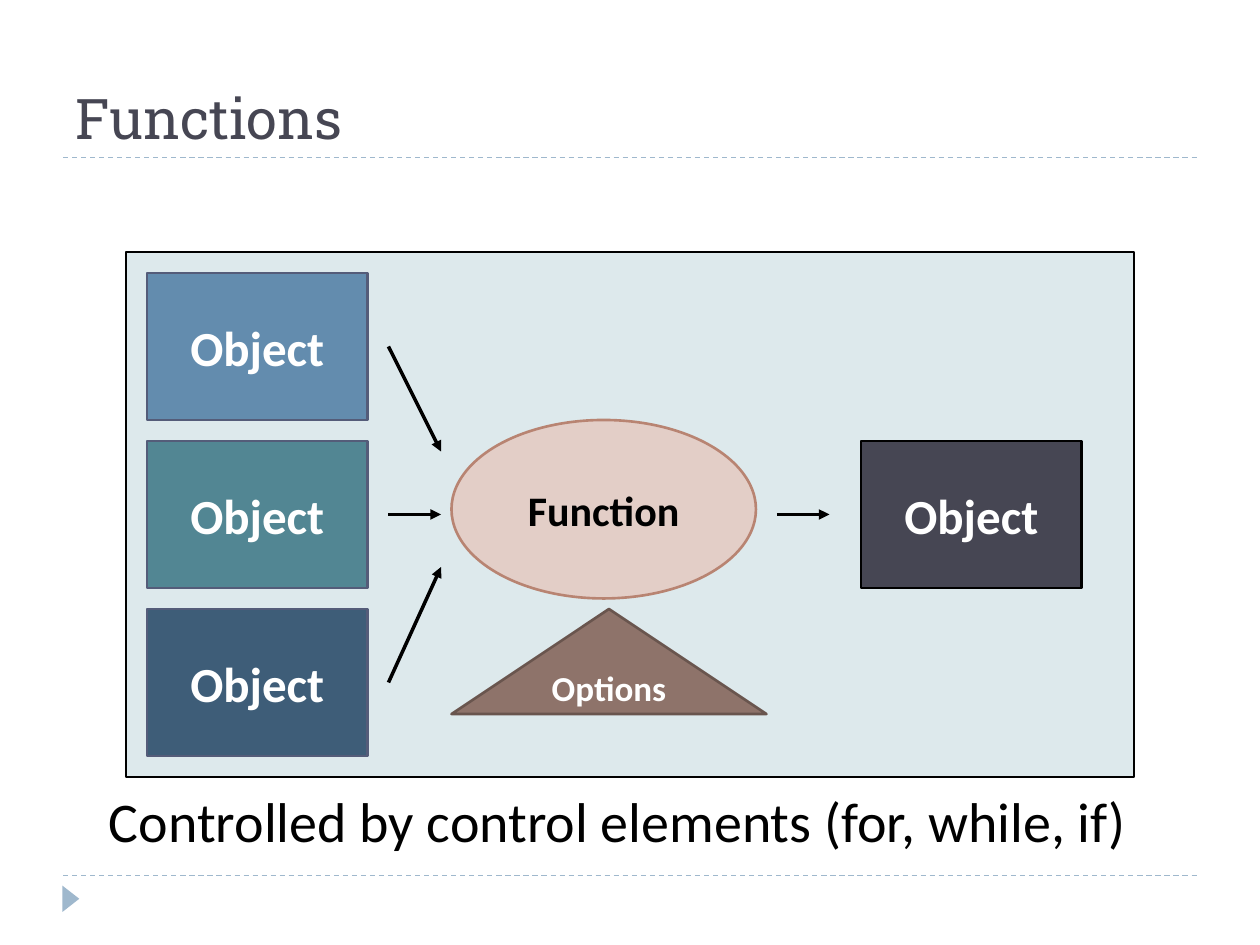
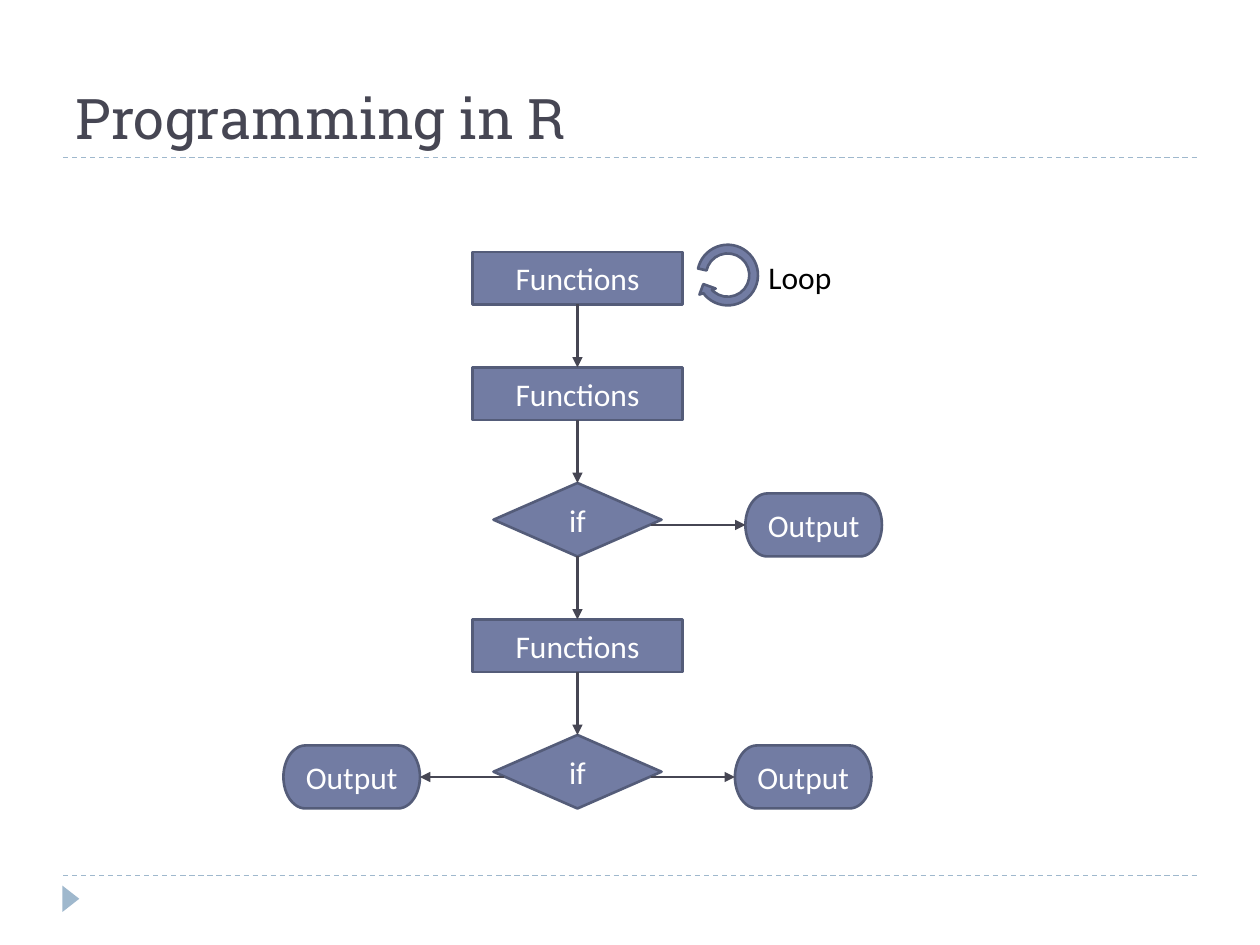
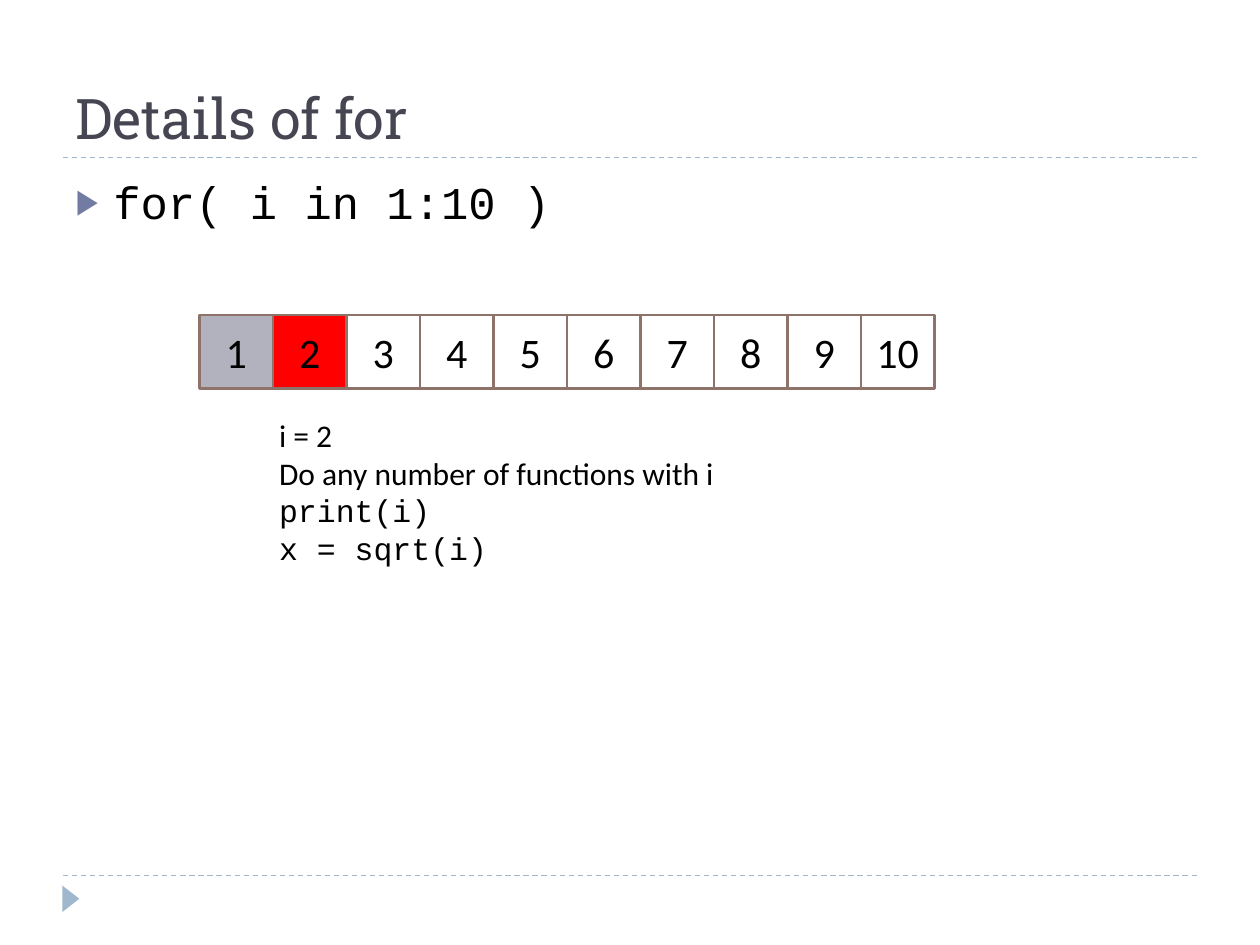
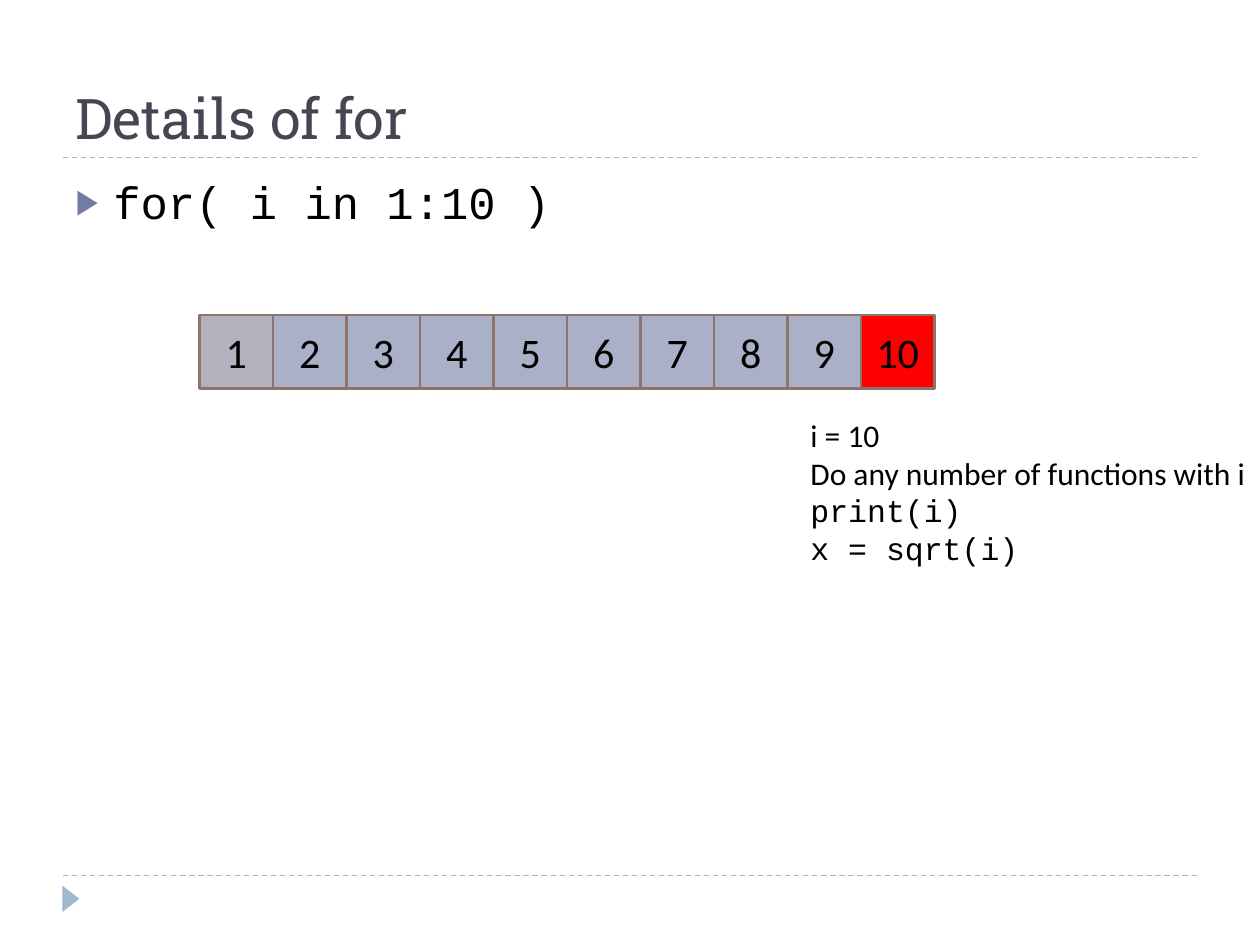
import pptx
import pptx.util
import pptx.dml.color
import pptx.enum.dml
import pptx.enum.shapes
import pptx.enum.text
import pptx.oxml
import pptx.oxml.ns

KIND = pptx.enum.shapes.MSO_SHAPE
ALIGN = pptx.enum.text.PP_ALIGN
ANCHOR = pptx.enum.text.MSO_ANCHOR
FIT = pptx.enum.text.MSO_AUTO_SIZE

SCALE = 7620
SIZE = (1200, 900)
BODY, HEAD, CODE = "Calibri", "Roboto Slab", "Courier New"
BLACK, WHITE, DARK, PALE = "000000", "FFFFFF", "464653", "9FB8CD"
BLUE, EDGE, BROWN, RED = "727CA3", "545C79", "8E736A", "FF0000"
GREY, DONE = "B2B2BE", "AAB0C8"

TITLE = (60, 20, 1080, 130)
RULES = [834, 150]
MARK = (55, 848, 25, 16)

CAPTION = "Controlled by control elements (for, while, if)"
PANEL = (120, 240, 960, 500)
INPUTS = ["638CAE", "528693", "3E5D78"]
BOX = (210, 140)
ARROWS = [
    ((370, 330), (420, 430)),
    ((370, 490), (420, 490)),
    ((370, 650), (420, 540)),
    ((740, 490), (790, 490)),
]

MID = 550
STEPS = [("Functions", 240), ("Functions", 350), ("if", 460), ("Functions", 590), ("if", 700)]
FORMS = {
    "Functions": (KIND.FLOWCHART_PROCESS, 200, 50),
    "if": (KIND.FLOWCHART_DECISION, 160, 70),
}
EXITS = [(710, 470, 620, 1), (700, 710, 620, 1), (270, 710, 480, 3)]
EXIT = (130, 60)
LOOP = (660, 229, 66, 66)
TURN = [0.125, 11.423, 204.577, 19.656, 0.125]

HEADER = "for( i in 1:10 )"
COUNT = 10
CELL = 70
ROUNDS = [(2, WHITE, 254), (10, DONE, 760)]


def px(*vals):
    return [pptx.util.Emu(val * SCALE) for val in vals]


def rgb(code):
    return pptx.dml.color.RGBColor.from_string(code)


def node(tag, **attrs):
    item = pptx.oxml.parse_xml(f"<a:{tag} {pptx.oxml.ns.nsdecls('a')}/>")
    for key, val in attrs.items():
        item.set(key, val)
    return item


def text(shape, lines, size=18, color=BLACK, font=BODY, bold=False,
         align=ALIGN.LEFT, anchor=ANCHOR.TOP, wrap=True, fit=FIT.NONE):
    frame = shape.text_frame
    frame.word_wrap = wrap
    frame.auto_size = fit
    frame.vertical_anchor = anchor
    for i, line in enumerate(lines):
        words, face = line if isinstance(line, tuple) else (line, font)
        para = frame.add_paragraph() if i else frame.paragraphs[0]
        para.alignment = align
        run = para.add_run()
        run.text = words
        run.font.name = face
        run.font.size = pptx.util.Pt(size)
        run.font.bold = bold
        run.font.color.rgb = rgb(color)


def block(slide, kind, at, fill, edge=None, words=None, **style):
    shape = slide.shapes.add_shape(kind, *px(*at))
    shape.shadow.inherit = False
    shape.fill.solid()
    shape.fill.fore_color.rgb = rgb(fill)
    if edge:
        shape.line.color.rgb = rgb(edge)
        shape.line.width = pptx.util.Pt(1.5)
    else:
        shape.line.fill.background()
    if words:
        text(shape, [words], align=ALIGN.CENTER, anchor=ANCHOR.MIDDLE, **style)
    return shape


def wire(slide, start, end, color, width, dash=False):
    kind = pptx.enum.shapes.MSO_CONNECTOR.STRAIGHT
    line = slide.shapes.add_connector(kind, *px(*start, *end))
    line.line.color.rgb = rgb(color)
    line.line.width = pptx.util.Pt(width)
    if dash:
        line.line.dash_style = pptx.enum.dml.MSO_LINE.DASH
    else:
        line.element.xpath(".//a:ln")[0].append(node("tailEnd", type="triangle"))
    line.element.spPr.append(node("effectLst"))
    return line


def label(slide, at, lines, **style):
    shape = slide.shapes.add_textbox(*px(*at))
    text(shape, lines, wrap=False, fit=FIT.SHAPE_TO_FIT_TEXT, **style)


def place(shape, at):
    shape.left, shape.top, shape.width, shape.height = px(*at)


def page(prs, title, layout=5):
    slide = prs.slides.add_slide(prs.slide_layouts[layout])
    place(slide.shapes.title, TITLE)
    text(slide.shapes.title, [title], size=32, color=DARK, font=HEAD, anchor=ANCHOR.BOTTOM)
    return slide


def share(prs, slide):
    parts = [wire(slide, (60, y), (1140, y), PALE, 0.75, dash=True) for y in RULES]
    mark = block(slide, KIND.ISOSCELES_TRIANGLE, MARK, PALE)
    mark.rotation = 90
    for i, part in enumerate(parts + [mark]):
        part.element.xpath(".//p:cNvPr")[0].set("id", str(20 + i))
        prs.slide_master.shapes.element.append(part.element)


def model(slide):
    label(slide, (92, 743, 1018, 77), [CAPTION], size=32)
    block(slide, KIND.RECTANGLE, PANEL, "DDE9EC", BLACK)
    style = dict(words="Object", size=28, color=WHITE, bold=True)
    for i, fill in enumerate(INPUTS):
        block(slide, KIND.RECTANGLE, (140, 260 + 160 * i, *BOX), fill, EDGE, **style)
    block(slide, KIND.RECTANGLE, (820, 420, *BOX), DARK, BLACK, **style)
    block(slide, KIND.OVAL, (430, 400, 290, 170), "E3CEC7", "B88472",
          "Function", size=24, bold=True)
    block(slide, KIND.ISOSCELES_TRIANGLE, (430, 580, 300, 100), BROWN, "69554E",
          "Options", size=20, color=WHITE, bold=True)
    for start, end in ARROWS:
        wire(slide, start, end, BLACK, 2)


def flow(slide):
    last = None
    for words, y in STEPS:
        kind, w, h = FORMS[words]
        step = block(slide, kind, (MID - w // 2, y, w, h), BLUE, EDGE, words, color=WHITE)
        if last:
            line = wire(slide, (MID, y - 60), (MID, y), DARK, 1.5)
            line.begin_connect(last, 2)
            line.end_connect(step, 0)
        last = step
    for x, y, start, side in EXITS:
        out = block(slide, KIND.FLOWCHART_TERMINATOR, (x, y, *EXIT), BLUE, EDGE,
                    "Output", color=WHITE)
        mid = y + EXIT[1] // 2
        line = wire(slide, (start, mid), (x, mid), DARK, 1.5)
        line.end_connect(out, side)
    loop = block(slide, KIND.CIRCULAR_ARROW, LOOP, BLUE, EDGE)
    loop.rotation = 159.7
    for i, val in enumerate(TURN):
        loop.adjustments[i] = val
    label(slide, (720, 240, 88, 48), ["Loop"])


def count(slide, now, rest, left):
    body = slide.placeholders[1]
    place(body, (60, 160, 1080, 648))
    text(body, [HEADER], size=26, font=CODE)
    para = body.text_frame.paragraphs[0]
    para.space_before = pptx.util.Pt(6)
    props = para._p.get_or_add_pPr()
    props.set("marL", str(36 * SCALE))
    props.set("indent", str(-36 * SCALE))
    tint = node("buClr")
    tint.append(node("srgbClr", val=BLUE))
    props.extend([tint, node("buSzPct", val="76000"), node("buChar", char="▶")])
    for i in range(1, COUNT + 1):
        fill = RED if i == now else GREY if i == 1 else rest
        at = (190 + CELL * (i - 1), 300, CELL, CELL)
        block(slide, KIND.RECTANGLE, at, fill, BROWN, str(i), size=24)
    label(slide, (left, 390, 445, 157), [
        f"i = {now}",
        "Do any number of functions with i",
        ("print(i)", CODE),
        ("x = sqrt(i)", CODE),
    ])


def main():
    prs = pptx.Presentation()
    prs.slide_width, prs.slide_height = px(*SIZE)
    first = page(prs, "Functions")
    share(prs, first)
    model(first)
    flow(page(prs, "Programming in R"))
    for now, rest, left in ROUNDS:
        count(page(prs, "Details of for", layout=1), now, rest, left)
    prs.save("out.pptx")


if __name__ == "__main__":
    main()
